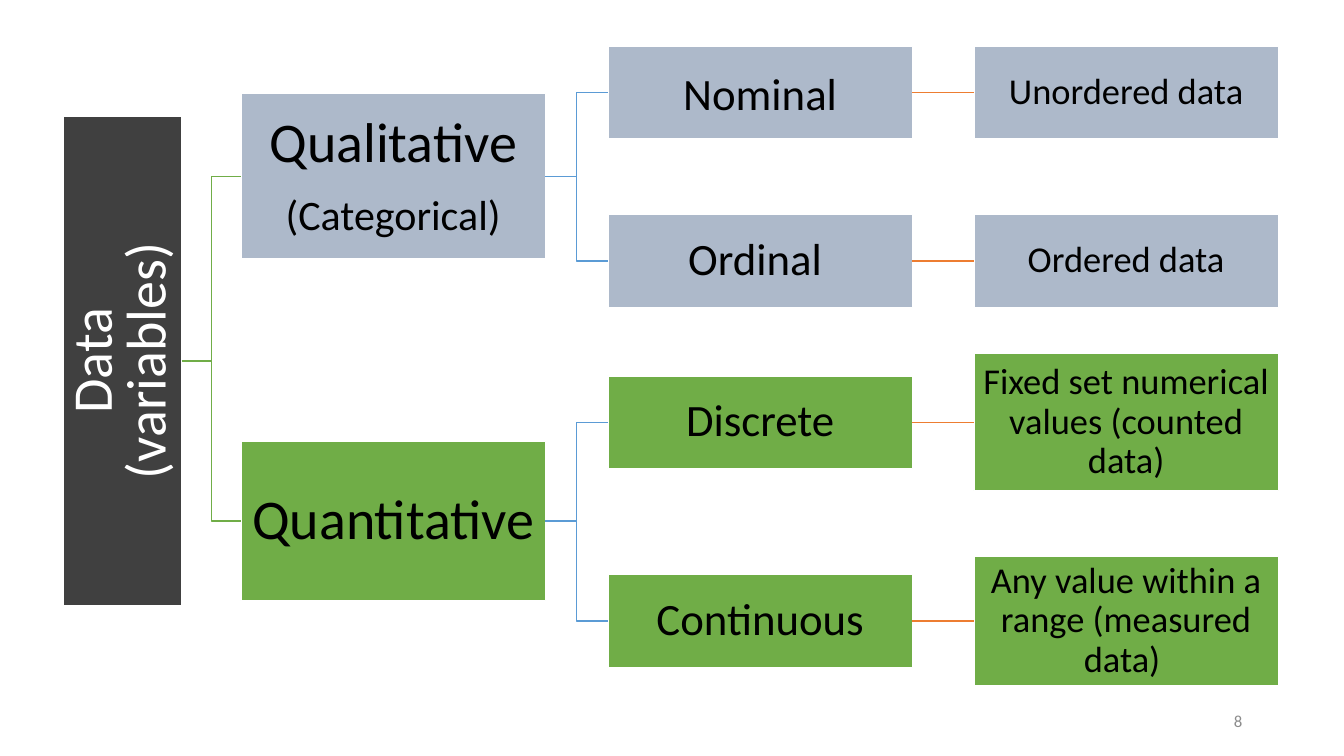
from pptx import Presentation
from pptx.dml.color import RGBColor
from pptx.enum.shapes import MSO_CONNECTOR, MSO_SHAPE
from pptx.enum.text import MSO_ANCHOR, PP_ALIGN
from pptx.oxml.ns import qn
from pptx.util import Pt

PX = 9144
FONT = "Calibri"
WHITE = RGBColor(0xFF, 0xFF, 0xFF)
BLACK = RGBColor(0, 0, 0)
GRAY = RGBColor(0x8C, 0x8C, 0x8C)
CHARCOAL = RGBColor(0x40, 0x40, 0x40)
SLATE = RGBColor(0xAD, 0xB9, 0xCA)
GREEN = RGBColor(0x70, 0xAD, 0x47)
BLUE = RGBColor(0x5B, 0x9B, 0xD5)
ORANGE = RGBColor(0xED, 0x7D, 0x31)
RECTANGLE = MSO_SHAPE.RECTANGLE
STRAIGHT, ELBOW = MSO_CONNECTOR.STRAIGHT, MSO_CONNECTOR.ELBOW
MIDDLE = MSO_ANCHOR.MIDDLE
CENTER, RIGHT = PP_ALIGN.CENTER, PP_ALIGN.RIGHT
LEFT_SIDE, RIGHT_SIDE = 1, 3

BOX_WIDTH = 302
BRANCH_LEFT, TYPE_LEFT, DETAIL_LEFT = 239, 603, 966
TYPE_HEIGHT = 92

BRANCHES = [
    (["Qualitative", "(Categorical)"], 93, 164, SLATE, [
        ("Nominal", 46, 1, "Unordered data", 92),
        ("Ordinal ", 213, 0.9, "Ordered data", 92),
    ]),
    (["Quantitative"], 438, 158, GREEN, [
        ("Discrete", 373, 0.9, "Fixed set numerical values (counted data)", 136),
        ("Continuous", 570, 0.9, "Any value within a range (measured data) ", 128),
    ]),
]


def write(frame, lines, sizes, color, align, spacing=1, gap=0):
    """Fill a text frame with one paragraph per line."""
    frame.word_wrap = True
    frame.vertical_anchor = MIDDLE
    frame.text = "\n".join(lines)
    for para, size in zip(frame.paragraphs, sizes):
        para.alignment = align
        para.line_spacing = spacing
        para.space_after = Pt(gap)
        for span in para.runs:
            span.font.name = FONT
            span.font.size = Pt(size)
            span.font.color.rgb = color


def add_box(page, bounds, fill, lines, sizes, color=BLACK, spacing=0.9, gap=0, inset=2):
    """Add a filled rectangle with centred text."""
    box = page.shapes.add_shape(RECTANGLE, *(value * PX for value in bounds))
    box.shadow.inherit = False
    box.fill.solid()
    box.fill.fore_color.rgb = fill
    box.line.color.rgb = WHITE
    box.line.width = Pt(1)
    frame = box.text_frame
    frame.margin_left = frame.margin_right = inset * PX
    frame.margin_top = frame.margin_bottom = inset * PX
    write(frame, lines, sizes, color, CENTER, spacing, gap)
    return box


def add_link(page, kind, parent, child, color):
    """Link the visible right side of a parent to the left side of a child."""
    reach = parent.height if parent.rotation else parent.width
    start_x = parent.left + (parent.width + reach) // 2
    start_y = parent.top + parent.height // 2
    link = page.shapes.add_connector(
        kind, start_x, start_y, child.left, child.top + child.height // 2)
    if not parent.rotation:
        link.begin_connect(parent, RIGHT_SIDE)
    link.end_connect(child, LEFT_SIDE)
    link.line.color.rgb = color
    link.line.width = Pt(1)
    properties = link._element.spPr
    properties.append(properties.makeelement(qn("a:effectLst"), {}))


def add_branch(page, root, lines, top, height, fill, types):
    """Add one branch of the tree with its types and their details."""
    branch = add_box(page, (BRANCH_LEFT, top, BOX_WIDTH, height), fill,
                     lines, (40, 30), gap=14, inset=3)
    add_link(page, ELBOW, root, branch, GREEN)
    for name, type_top, type_spacing, detail, detail_height in types:
        type_box = add_box(page, (TYPE_LEFT, type_top, BOX_WIDTH, TYPE_HEIGHT), fill,
                           [name], [32], spacing=type_spacing)
        detail_top = type_top + (TYPE_HEIGHT - detail_height) // 2
        detail_box = add_box(page, (DETAIL_LEFT, detail_top, BOX_WIDTH, detail_height),
                             fill, [detail], [26])
        add_link(page, ELBOW, branch, type_box, BLUE)
        add_link(page, STRAIGHT, type_box, detail_box, ORANGE)


def add_page_number(page, number):
    """Add the page number at the lower right."""
    box = page.shapes.add_textbox(942 * PX, 695 * PX, 300 * PX, 40 * PX)
    write(box.text_frame, [number], [12], GRAY, RIGHT)


def main():
    """Build the tree of data types."""
    deck = Presentation()
    deck.slide_width, deck.slide_height = 1333 * PX, 750 * PX
    page = deck.slides.add_slide(deck.slide_layouts[6])
    add_page_number(page, "8")
    root = add_box(page, (-121, 299, 485, 118), CHARCOAL, ["Data", "(variables)"],
                   (40, 40), WHITE, spacing=0.8, inset=3)
    root.rotation = 270
    for branch in BRANCHES:
        add_branch(page, root, *branch)
    deck.save("out.pptx")


if __name__ == "__main__":
    main()
